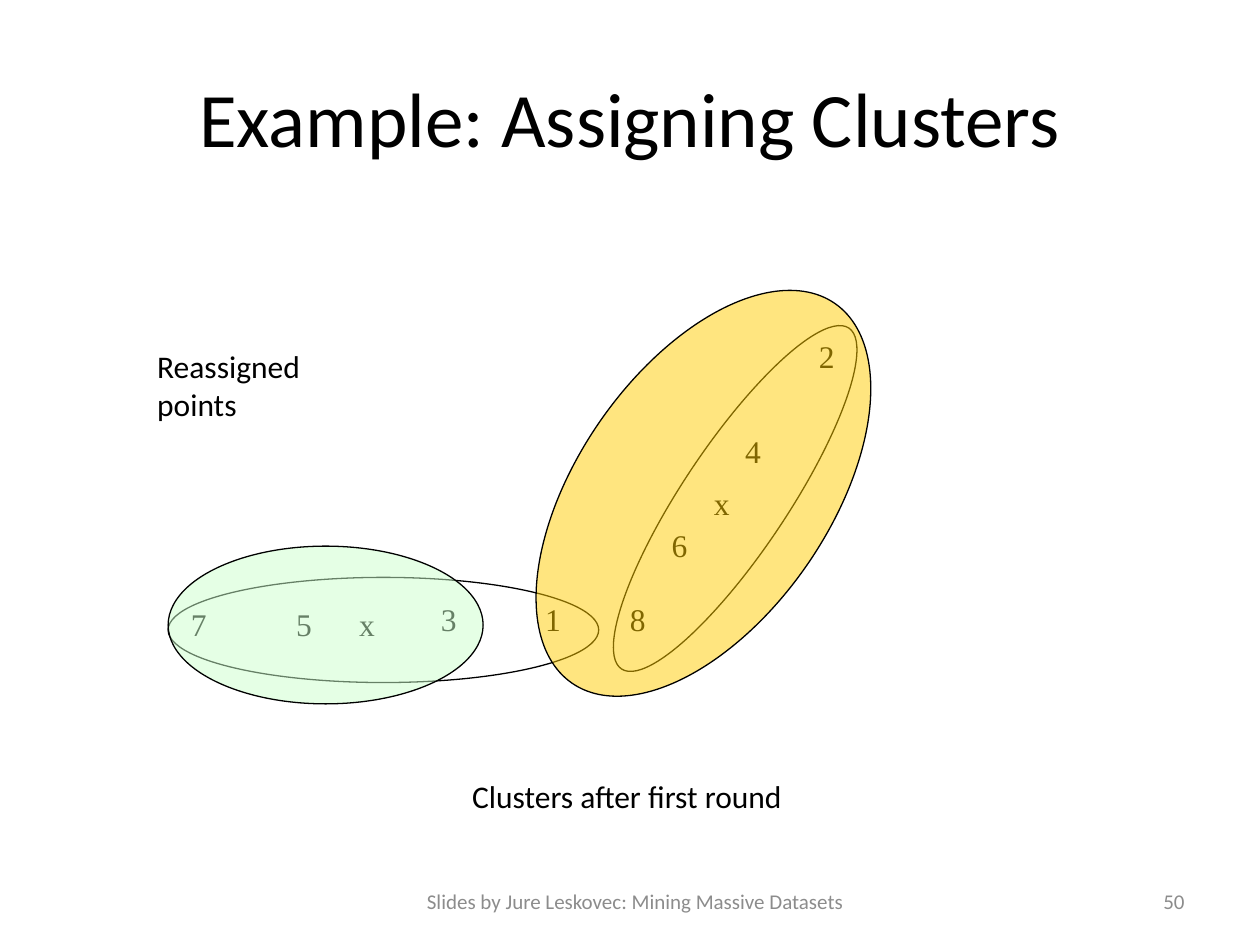
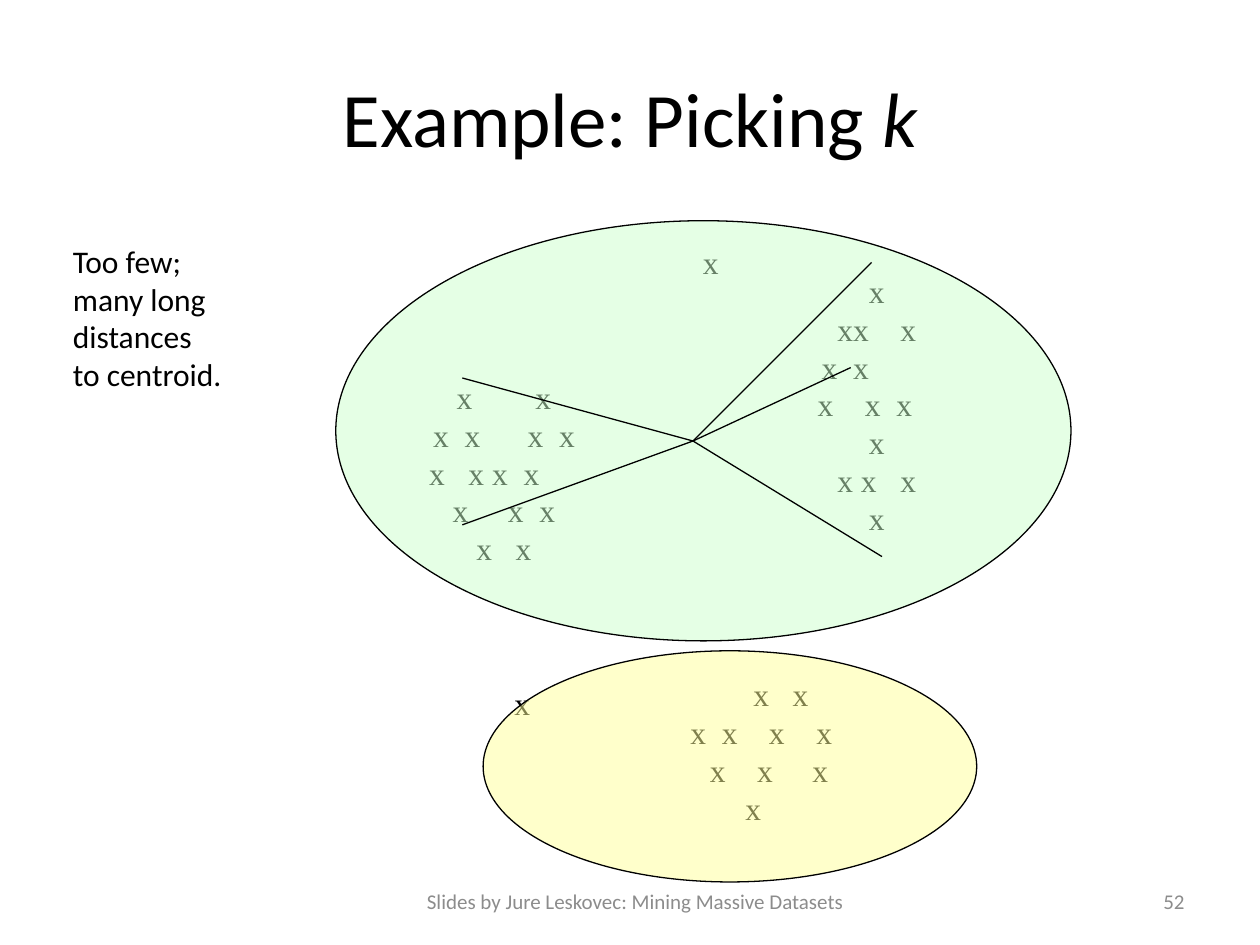
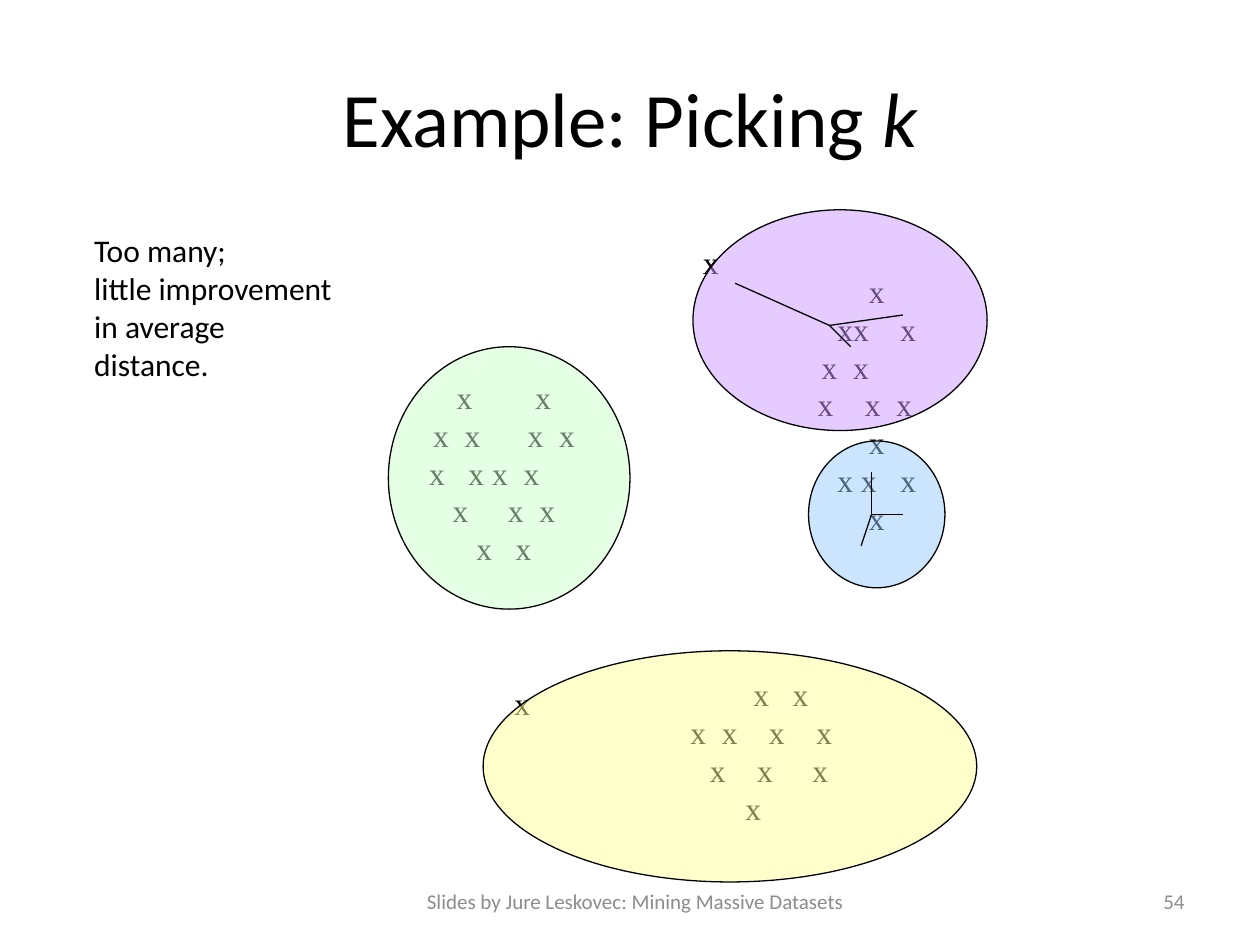
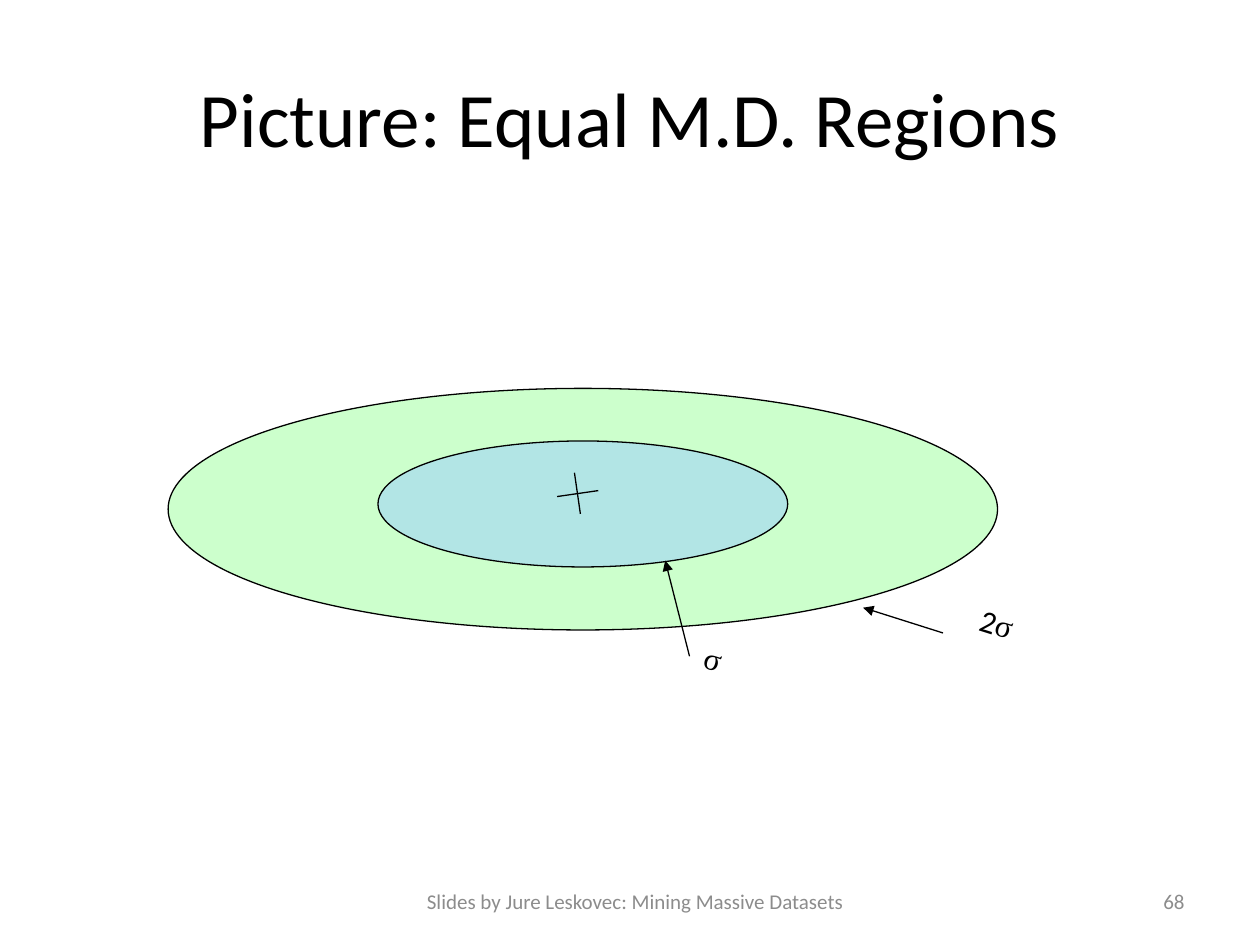
"""Build four slides on k-means clustering and Mahalanobis distance regions."""
from dataclasses import dataclass
from math import sqrt

from pptx import Presentation
from pptx import util as u
from pptx.dml.color import RGBColor
from pptx.enum import shapes, text
from pptx.oxml import ns, xmlchemy

SANS, SERIF = "Calibri", "Times New Roman"
BLACK, GREY = "000000", "8C8C8C"
GREEN, YELLOW, ORANGE = "CCFFCC", "FFFF99", "FFCC00"
PURPLE, BLUE = "CC99FF", "99CCFF"
FOOTER = "Slides by Jure Leskovec: Mining Massive Datasets"
BODY_SIZE = 18
LINE_WIDTH = u.Pt(0.75)
SPACE_WIDTH = u.Pt(BODY_SIZE / 4)
LEFT, CENTER, RIGHT = text.PP_ALIGN.LEFT, text.PP_ALIGN.CENTER, text.PP_ALIGN.RIGHT


@dataclass(frozen=True)
class Box:
    left: float
    top: float
    width: float
    height: float

    def emu(self) -> tuple:
        return tuple(u.Cm(v) for v in (self.left, self.top, self.width, self.height))


@dataclass(frozen=True)
class Span:
    words: str
    italic: bool | None = None
    font: str | None = None


@dataclass(frozen=True)
class Oval:
    box: Box
    fill: str | None = None
    opacity: int = 50
    rotation: float = 0


@dataclass(frozen=True)
class Mark:
    words: str
    left: float
    top: float


@dataclass(frozen=True)
class Cluster:
    """Rows map left edges, in space widths from the centre, to points."""
    box: Box
    rows: tuple


@dataclass(frozen=True)
class Star:
    """Lines that run from one hub to several ends."""
    hub: tuple
    ends: tuple


def points(*offsets: float) -> dict:
    return dict.fromkeys(offsets, "x")


CLUSTERS = (
    Cluster(Box(7.62, 6.35, 5.08, 6.35), (
        points(-6, 4), points(-9, -5, 3, 7), {-9.5: "x", -4.5: "x x", 2.5: "x"},
        points(-6.5, 0.5, 4.5), points(-3.5, 1.5))),
    Cluster(Box(15.24, 4.24, 4.87, 7.82), (
        points(-1), {-5: "xx", 3: "x"}, points(-7, -3), points(-7.5, -1.5, 2.5),
        points(-1), {-5: "x x", 3: "x"}, points(-1))),
    Cluster(Box(12.7, 12.91, 5.29, 4.45), (
        points(-1, 4), points(-9, -5, 1, 7), points(-6.5, -0.5, 6.5), points(-2))),
)
OUTLIERS = (Mark("x", 13.92, 4.78), Mark("x", 10.12, 13.67))
POINTS = (
    Mark("1", 10.74, 11.97), Mark("2", 16.26, 6.67), Mark("3", 8.64, 11.97),
    Mark("4", 14.77, 8.59), Mark("5", 5.72, 12.07), Mark("6", 13.29, 10.48),
    Mark("7", 3.6, 12.07), Mark("8", 12.45, 11.97),
    Mark("x", 6.99, 12.07), Mark("x", 14.14, 9.64),
)
FIRST_ROUND = (
    Oval(Box(3.39, 11.64, 8.68, 2.12)),
    Oval(Box(10.69, 8.99, 8.26, 2.12), rotation=123.7),
)
REASSIGNED = (
    Oval(Box(3.39, 11.01, 6.35, 3.18), GREEN),
    Oval(Box(11.64, 5.29, 5.08, 9.31), ORANGE, rotation=34.7),
)
LOWER_OVAL = Oval(Box(9.74, 13.12, 9.95, 4.66), YELLOW)
TOO_FEW = (Oval(Box(6.77, 4.45, 14.82, 8.47), GREEN), LOWER_OVAL)
TOO_MANY = (
    LOWER_OVAL,
    Oval(Box(7.83, 6.99, 4.87, 5.29), GREEN),
    Oval(Box(13.97, 4.23, 5.93, 4.45), PURPLE),
    Oval(Box(16.3, 8.89, 2.75, 2.96), BLUE),
)
FEW_STARS = (
    Star((13.97, 8.89), ((9.32, 7.62), (9.32, 10.58), (17.78, 11.22),
                         (17.15, 7.41), (17.57, 5.29))),
)
MANY_STARS = (
    Star((16.72, 6.56), ((14.82, 5.71), (18.2, 6.35), (17.15, 6.99))),
    Star((17.57, 10.37), ((17.57, 9.52), (18.2, 10.37), (17.36, 11))),
)
REGIONS = (
    Oval(Box(3.39, 7.83, 16.72, 4.87), GREEN, opacity=100),
    Oval(Box(7.62, 8.89, 8.26, 2.54), BLUE),
)
PICKING_K = (Span("Example: Picking "), Span("k", italic=True))


def rgb(value: str) -> RGBColor:
    return RGBColor.from_string(value)


def add_child(parent, tag: str, **attributes):
    child = xmlchemy.OxmlElement(tag)
    for name, value in attributes.items():
        child.set(name, str(value))
    parent.append(child)
    return child


def style(p, font: str, size: float, color: str, align) -> None:
    p.alignment = align
    p.font.name, p.font.size = font, u.Pt(size)
    p.font.color.rgb = rgb(color)


def add_text(s, box: Box, lines: tuple, font: str = SANS, size: float = BODY_SIZE,
             color: str = BLACK, align=LEFT, fixed: bool = False, rotation: float = 0) -> None:
    """Add lines of spans; a fixed box wraps and centres its text vertically."""
    sp = s.shapes.add_textbox(*box.emu())
    sp.rotation = rotation
    tf = sp.text_frame
    tf.word_wrap = fixed
    if fixed:
        tf.vertical_anchor = text.MSO_ANCHOR.MIDDLE
    else:
        tf.auto_size = text.MSO_AUTO_SIZE.SHAPE_TO_FIT_TEXT
    for i, spans in enumerate(lines):
        p = tf.add_paragraph() if i else tf.paragraphs[0]
        style(p, font, size, color, align)
        for span in spans:
            r = p.add_run()
            r.text = span.words
            if span.italic is not None:
                r.font.italic = span.italic
            if span.font:
                r.font.name = span.font


def add_note(s, box: Box, *lines: str) -> None:
    add_text(s, box, tuple((Span(line),) for line in lines))


def add_marks(s, marks: tuple) -> None:
    for mark in marks:
        add_text(s, Box(mark.left, mark.top, 0.94, 1.27), ((Span(mark.words),),), SERIF)


def add_ellipse(s, box: Box):
    sp = s.shapes.add_shape(shapes.MSO_SHAPE.OVAL, *box.emu())
    sp.shadow.inherit = False
    sp.fill.background()
    return sp


def add_ovals(s, ovals: tuple) -> None:
    for oval in ovals:
        sp = add_ellipse(s, oval.box)
        sp.rotation = oval.rotation
        sp.line.color.rgb = rgb(BLACK)
        sp.line.width = LINE_WIDTH
        if oval.fill:
            sp.fill.solid()
            sp.fill.fore_color.rgb = rgb(oval.fill)
            if oval.opacity < 100:
                clr = sp.element.spPr.find(ns.qn("a:solidFill"))[0]
                add_child(clr, "a:alpha", val=oval.opacity * 1000)


def add_cluster(s, cluster: Cluster) -> None:
    """Place the points of each row at tab stops measured from the centre."""
    sp = add_ellipse(s, cluster.box)
    sp.line.fill.background()
    tf = sp.text_frame
    tf.word_wrap = True
    tf.vertical_anchor = text.MSO_ANCHOR.MIDDLE
    tf.margin_left = tf.margin_right = tf.margin_top = tf.margin_bottom = 0
    center = u.Cm(cluster.box.width) / sqrt(2) / 2
    for i, row in enumerate(cluster.rows):
        p = tf.add_paragraph() if i else tf.paragraphs[0]
        tabs = add_child(p._p.get_or_add_pPr(), "a:tabLst")
        for offset in row:
            add_child(tabs, "a:tab", pos=round(center + offset * SPACE_WIDTH), algn="l")
        style(p, SERIF, BODY_SIZE, BLACK, LEFT)
        p.add_run().text = "".join(f"\t{words}" for words in row.values())


def add_line(s, start: tuple, end: tuple, arrow: bool = False) -> None:
    sp = s.shapes.add_connector(shapes.MSO_CONNECTOR.STRAIGHT,
                                *(u.Cm(v) for v in start + end))
    sp.line.color.rgb = rgb(BLACK)
    sp.line.width = LINE_WIDTH
    if arrow:
        add_child(sp.line._get_or_add_ln(), "a:tailEnd", type="triangle")
    add_child(sp._element.spPr, "a:effectLst")


def add_stars(s, stars: tuple) -> None:
    for star in stars:
        for end in star.ends:
            add_line(s, star.hub, end)


def add_slide(prs, title: tuple, number: int):
    """Add a blank slide with the shared title, footer and page number."""
    s = prs.slides.add_slide(prs.slide_layouts[6])
    add_text(s, Box(1.27, 0.76, 22.86, 3.18), (title,), size=44, align=CENTER, fixed=True)
    add_text(s, Box(7.62, 17.65, 10.37, 1.02), ((Span(FOOTER),),), size=12, color=GREY,
             align=CENTER, fixed=True)
    add_text(s, Box(18.2, 17.65, 5.93, 1.02), ((Span(str(number)),),), size=12, color=GREY,
             align=RIGHT, fixed=True)
    return s


def add_assigning(prs) -> None:
    s = add_slide(prs, (Span("Example: Assigning Clusters"),), 50)
    add_marks(s, POINTS)
    add_ovals(s, FIRST_ROUND)
    add_note(s, Box(9.27, 15.54, 9.63, 1.27), "Clusters after first round")
    add_ovals(s, REASSIGNED)
    add_note(s, Box(2.92, 6.88, 4.72, 2.29), "Reassigned", "points")


def add_picking(prs, number: int, ovals: tuple, stars: tuple, box: Box, *note: str) -> None:
    s = add_slide(prs, PICKING_K, number)
    for cluster in CLUSTERS:
        add_cluster(s, cluster)
    add_marks(s, OUTLIERS)
    add_ovals(s, ovals)
    add_stars(s, stars)
    add_note(s, box, *note)


def add_regions(prs) -> None:
    s = add_slide(prs, (Span("Picture: Equal M.D. Regions"),), 68)
    add_ovals(s, REGIONS)
    add_line(s, (11.58, 9.53), (11.7, 10.36))
    add_line(s, (11.23, 10.01), (12.06, 9.89))
    sigma = Span("σ", font=SERIF)
    add_text(s, Box(13.92, 12.78, 1.02, 1.27), ((sigma,),), rotation=17.5)
    add_text(s, Box(19.47, 12.1, 1.5, 1.27), ((Span("2"), sigma),), rotation=17.5)
    add_line(s, (13.9, 13.23), (13.41, 11.3), arrow=True)
    add_line(s, (19.01, 12.76), (17.4, 12.25), arrow=True)


def main() -> None:
    prs = Presentation()
    prs.slide_width, prs.slide_height = u.Cm(25.4), u.Cm(19.05)
    add_assigning(prs)
    add_picking(prs, 52, TOO_FEW, FEW_STARS, Box(1.22, 4.75, 4.8, 4.32),
                "Too few;", "many long", "distances", "to centroid.")
    add_picking(prs, 54, TOO_MANY, MANY_STARS, Box(1.65, 4.54, 7.29, 4.32),
                "Too many;", "little improvement", "in average", "distance.")
    add_regions(prs)
    prs.save("out.pptx")


main()
